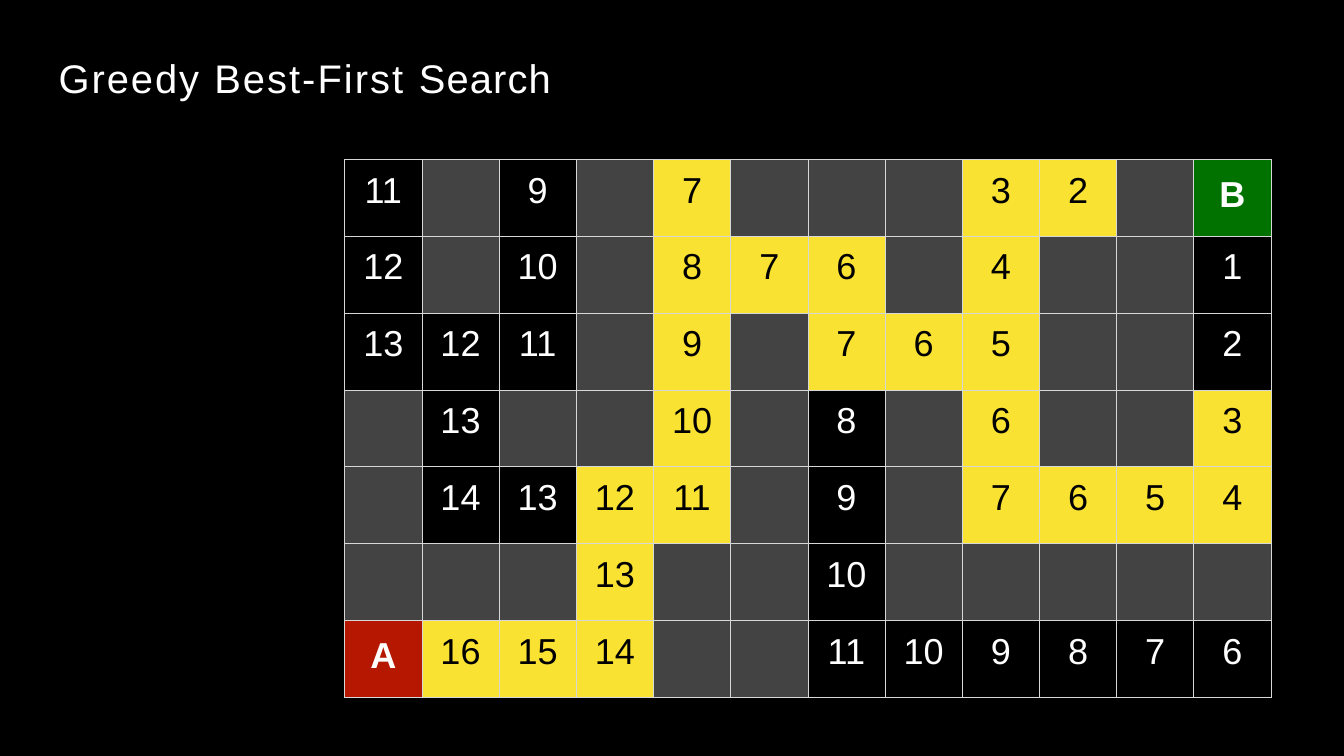
from lxml.etree import SubElement
from pptx import Presentation
from pptx.dml.color import RGBColor
from pptx.enum.text import MSO_ANCHOR, PP_ALIGN
from pptx.oxml.ns import qn
from pptx.util import Inches, Pt

# Content: "#" is a wall, "*" marks a step the search explores
TITLE = [("Greedy ", 2.3), ("Best-First ", 2.4), ("Search", 1.4)]
MAZE = [
    "11 # 9 # *7 # # # *3 *2 # B",
    "12 # 10 # *8 *7 *6 # *4 # # 1",
    "13 12 11 # *9 # *7 *6 *5 # # 2",
    "# 13 # # *10 # 8 # *6 # # *3",
    "# 14 13 *12 *11 # 9 # *7 *6 *5 *4",
    "# # # *13 # # 10 # # # # #",
    "A *16 *15 *14 # # 11 10 9 8 7 6",
]
BLACK, WHITE, WALL, EXPLORED, BORDER = "000000", "FFFFFF", "434343", "FAE232", "D6D7D6"
ENDPOINTS = {"A": "B51700", "B": "017100"}


def color(value):
    return RGBColor.from_string(value)


def format_run(span, size, hue, bold=False):
    span.font.name = "Arial"
    span.font.size = Pt(size)
    span.font.bold = bold
    span.font.color.rgb = color(hue)


def add_borders(cell):
    properties = cell._tc.get_or_add_tcPr()
    for side in ("lnL", "lnR", "lnT", "lnB"):
        line = SubElement(properties, qn(f"a:{side}"), w=str(Pt(1)))
        fill = SubElement(line, qn("a:solidFill"))
        SubElement(fill, qn("a:srgbClr"), val=BORDER)


def fill_cell(cell, mark):
    label = mark.strip("*#")
    endpoint = label in ENDPOINTS
    explored = mark.startswith("*")
    add_borders(cell)
    cell.fill.solid()
    background = WALL if mark == "#" else EXPLORED if explored else BLACK
    cell.fill.fore_color.rgb = color(ENDPOINTS.get(label, background))
    cell.margin_left = cell.margin_right = cell.margin_bottom = 0
    cell.margin_top = Inches(0.26 if endpoint else 0.18)
    if label:
        cell.text_frame.text = label
        para = cell.text_frame.paragraphs[0]
        para.alignment = PP_ALIGN.CENTER
        format_run(para.runs[0], 42.5, BLACK if explored else WHITE, endpoint)


# Slide
deck = Presentation()
deck.slide_width, deck.slide_height = Inches(21.99), Inches(12.37)
page = deck.slides.add_slide(deck.slide_layouts[5])
page.background.fill.solid()
page.background.fill.fore_color.rgb = color(BLACK)

# Title
title = page.shapes.title
title.left, title.top = Inches(0.96), Inches(0.86)
title.width, title.height = Inches(8.07), Inches(0.81)
frame = title.text_frame
frame.margin_left = frame.margin_right = frame.margin_bottom = 0
frame.margin_top = Inches(0.01)
frame.vertical_anchor = MSO_ANCHOR.TOP
frame.word_wrap = True
para = frame.paragraphs[0]
para.alignment = PP_ALIGN.LEFT
for words, spacing in TITLE:
    span = para.add_run()
    span.text = words
    format_run(span, 47, WHITE)
    span.font._element.set("spc", str(round(spacing * 100)))

# Maze
rows = [line.split() for line in MAZE]
table = page.shapes.add_table(
    len(rows), len(rows[0]), Inches(5.64), Inches(2.61), Inches(15.16), Inches(8.8)
).table
table.first_row = table.horz_banding = False
for row_index, row in enumerate(rows):
    for column_index, mark in enumerate(row):
        fill_cell(table.cell(row_index, column_index), mark)

deck.save("out.pptx")
